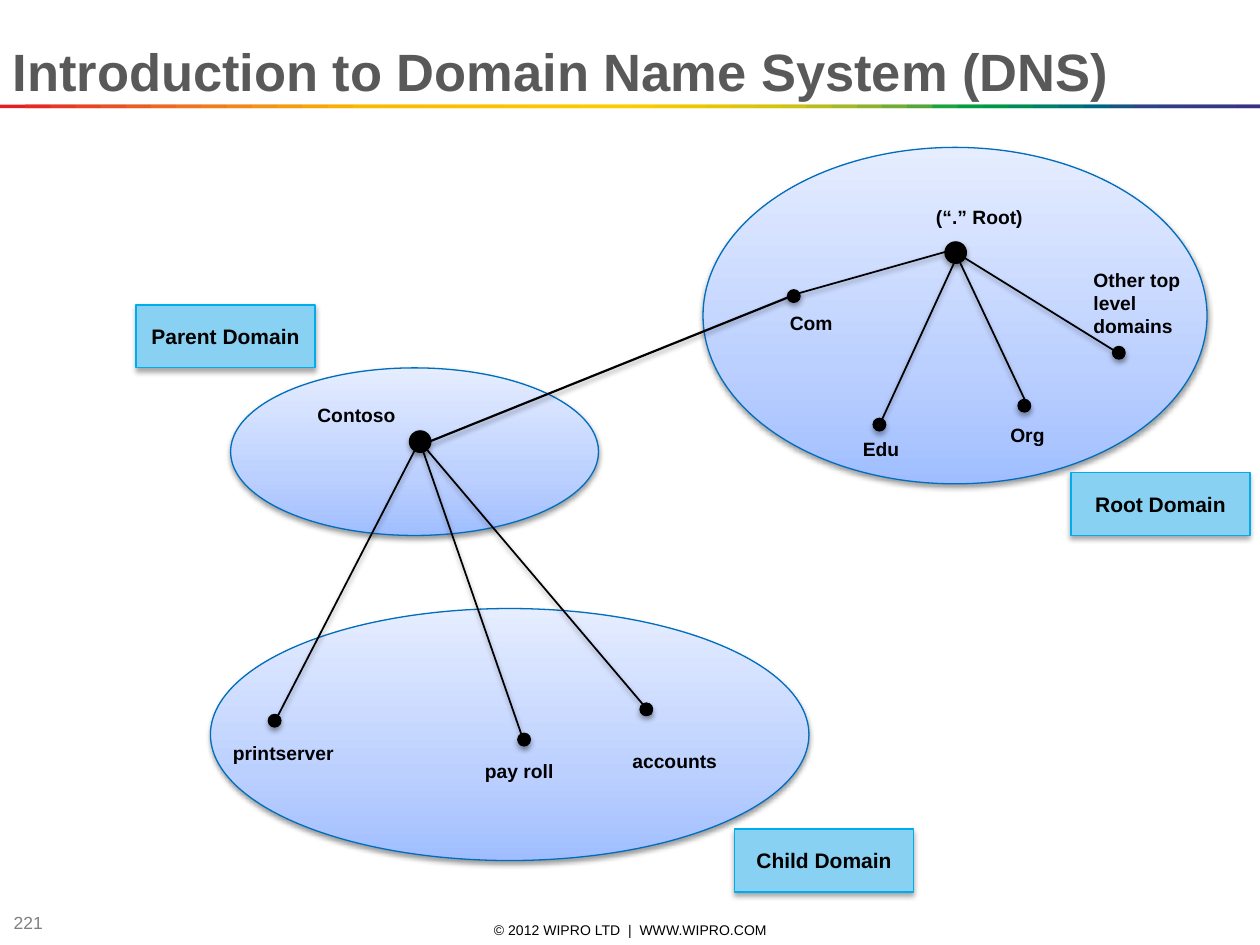
from lxml.etree import SubElement
from pptx import Presentation
from pptx.dml.color import RGBColor
from pptx.enum.shapes import MSO_CONNECTOR, MSO_SHAPE
from pptx.enum.text import MSO_ANCHOR, PP_ALIGN
from pptx.oxml import parse_xml
from pptx.oxml.ns import nsdecls, qn
from pptx.util import Inches, Pt

COLORS = {
    "title": "595959", "page": "808080", "ink": "000000",
    "domain_line": "006EBC", "tag": "88D1F2", "tag_line": "00ACEB",
    "domain_low": "A0BEFF", "domain_mid": "BCD0FF", "domain_high": "E5EDFF",
}
BAND_COLORS = """
E31E24 E42C24 E53A24 E74623 E85122 EA5D21 EC691F EE741D EF7E1A F18817
F39314 F49C0F F6A607 F8B002 FBBA00 FBBB00 FBBD00 FCBF00 FCC000 FCC200
FDC400 FDC600 FDC700 FEC900 FECB00 FBCB00 F3CA00 ECC800 E4C602 DCC50A
D5C30E CCC117 B8BC21 A3B829 8CB230 71AD36 51A73B 1DA240 009D43 009846
008C57 008068 007275 00637F 185384 2E4285 313E85 333B85 353885 393185
""".split()
FONT = "Arial"
HUB, LEAF = 0.17, 0.1  # dot diameters


def rgb(name):
    return RGBColor.from_string(COLORS.get(name, name))


def add_shadow(shape, alpha, distance):
    """Soft shadow falling straight down."""
    properties = shape._element.spPr
    effects = properties.find(qn("a:effectLst"))
    if effects is None:
        effects = SubElement(properties, qn("a:effectLst"))
    shadow = SubElement(effects, qn("a:outerShdw"), blurRad=str(Pt(3.1)),
                        dist=str(Pt(distance)), dir="5400000", rotWithShape="0")
    color = SubElement(shadow, qn("a:srgbClr"), val=COLORS["ink"])
    SubElement(color, qn("a:alpha"), val=str(alpha * 1000))


def format_text(frame, size, color="ink", bold=False, align=None):
    for paragraph in frame.paragraphs:
        paragraph.alignment = align
        for run in paragraph.runs:
            run.font.name = FONT
            run.font.size = Pt(size)
            run.font.bold = bold
            run.font.color.rgb = rgb(color)


def add_text(slide, box, text, size, anchor=MSO_ANCHOR.TOP, **style):
    frame = slide.shapes.add_textbox(*map(Inches, box)).text_frame
    frame.word_wrap = True
    frame.vertical_anchor = anchor
    frame.text = text
    format_text(frame, size, **style)


def add_solid(slide, kind, box, fill, line=None, line_width=0.75):
    shape = slide.shapes.add_shape(kind, *map(Inches, box))
    shape.shadow.inherit = False
    shape.fill.solid()
    shape.fill.fore_color.rgb = rgb(fill)
    if line:
        shape.line.color.rgb = rgb(line)
        shape.line.width = Pt(line_width)
    else:
        shape.line.fill.background()
    return shape


def fill_gradient(shape):
    """Dark at the bottom, light at the top."""
    stops = "".join(
        f'<a:gs pos="{position * 1000}"><a:srgbClr val="{COLORS[name]}"/></a:gs>'
        for position, name in ((0, "domain_low"), (35, "domain_mid"), (100, "domain_high")))
    solid = shape._element.spPr.find(qn("a:solidFill"))
    solid.getparent().replace(solid, parse_xml(
        f'<a:gradFill {nsdecls("a")} rotWithShape="1"><a:gsLst>{stops}</a:gsLst>'
        '<a:lin ang="16200000" scaled="0"/></a:gradFill>'))


def draw_band(slide, left, top, width, height):
    step = width / len(BAND_COLORS)
    for index, color in enumerate(BAND_COLORS):
        start = index * step
        add_solid(slide, MSO_SHAPE.RECTANGLE,
                  (left + start, top, min(2 * step, width - start), height), color)


def draw_title(slide, box, text):
    title = slide.shapes.title
    title.left, title.top, title.width, title.height = map(Inches, box)
    title.text_frame.text = text
    title.text_frame.vertical_anchor = MSO_ANCHOR.BOTTOM
    format_text(title.text_frame, 30, "title", bold=True, align=PP_ALIGN.LEFT)


def draw_footer(slide, left, top):
    add_text(slide, (left + 3.41, top + 0.08, 3.17, 0.16),
             "© 2012 WIPRO LTD  |  WWW.WIPRO.COM", 8,
             MSO_ANCHOR.MIDDLE, align=PP_ALIGN.CENTER)
    add_text(slide, (left, top, 0.75, 0.21), "221", 10, MSO_ANCHOR.MIDDLE, color="page")


def draw_domain(slide, box, dots, labels, tag):
    """Ellipse with its dots, labels and name tag, all offset from its corner."""
    left, top = box[:2]
    area = add_solid(slide, MSO_SHAPE.OVAL, box, "domain_mid", "domain_line")
    fill_gradient(area)
    add_shadow(area, 38, 1.6)
    for x, y, size in dots:
        dot = add_solid(slide, MSO_SHAPE.OVAL, (left + x, top + y, size, size), "ink", "ink")
        add_shadow(dot, 35, 1.8)
    for text, x, y, width, height in labels:
        add_text(slide, (left + x, top + y, width, height), text, 11, bold=True)

    text, x, y = tag
    name_tag = add_solid(slide, MSO_SHAPE.RECTANGLE,
                         (left + x, top + y, 1.42, 0.5), "tag", "tag_line")
    add_shadow(name_tag, 35, 1.8)
    name_tag.text_frame.text = text
    name_tag.text_frame.vertical_anchor = MSO_ANCHOR.MIDDLE
    format_text(name_tag.text_frame, 12, bold=True, align=PP_ALIGN.CENTER)


def draw_links(slide, box, links, weight=1):
    left, top = box[:2]
    for x1, y1, x2, y2 in links:
        link = slide.shapes.add_connector(
            MSO_CONNECTOR.STRAIGHT, Inches(left + x1), Inches(top + y1),
            Inches(left + x2), Inches(top + y2))
        link.line.color.rgb = rgb("ink")
        link.line.width = Pt(weight)
        add_shadow(link, 38, 1.6)


def main():
    deck = Presentation()
    deck.slide_width, deck.slide_height = Inches(10), Inches(7.5)
    slide = deck.slides.add_slide(deck.slide_layouts[5])

    # Title, rainbow rule and footer
    draw_band(slide, 0, 0.83, 10, 0.03)
    draw_title(slide, (0, 0.25, 10, 0.61), "Introduction to Domain Name System (DNS)")
    draw_footer(slide, 0.01, 7.22)

    # Domains
    root_box = (5.58, 1.17, 4, 2.67)
    parent_box = (1.83, 2.92, 2.92, 1.33)
    child_box = (1.67, 4.83, 4.75, 2)
    draw_domain(
        slide, root_box,
        [(1.92, 0.75, HUB), (0.67, 1.13, LEAF), (1.35, 2.15, LEAF),
         (2.5, 2, LEAF), (3.25, 1.58, LEAF)],
        [("(“.” Root)", 1.75, 0.41, 1.08, 0.29), ("Com", 0.59, 1.25, 0.67, 0.29),
         ("Edu", 1.17, 2.25, 0.67, 0.29), ("Org", 2.34, 2.14, 0.67, 0.29),
         ("Other top level\ndomains", 3, 0.91, 1.25, 0.66)],
        ("Root Domain", 2.92, 2.58))
    draw_domain(
        slide, parent_box, [(1.42, 0.5, HUB)],
        [("Contoso", 0.59, 0.23, 1.08, 0.29)],
        ("Parent Domain", -0.75, -0.5))
    draw_domain(
        slide, child_box,
        [(0.46, 0.84, LEAF), (2.44, 0.99, LEAF), (3.41, 0.75, LEAF)],
        [("printserver", 0.08, 1, 1.08, 0.29), ("pay roll", 2.08, 1.15, 1.08, 0.29),
         ("accounts", 3.25, 1.07, 1.08, 0.29)],
        ("Child Domain", 4.16, 1.75))

    # Links between the dots
    draw_links(slide, root_box, [
        (3.34, 1.66, 2, 0.83), (2.59, 2.08, 2, 0.83),
        (1.42, 2.16, 2.06, 0.77), (0.75, 1.16, 1.92, 0.83)])
    draw_links(slide, parent_box, [
        (x, y, 1.5, 0.58) for x, y in ((0.34, 2.83), (2.34, 3), (3.34, 2.75))])
    draw_links(slide, parent_box, [(1.59, 0.58, 4.5, -0.59)], weight=1.25)

    deck.save("out.pptx")


if __name__ == "__main__":
    main()
